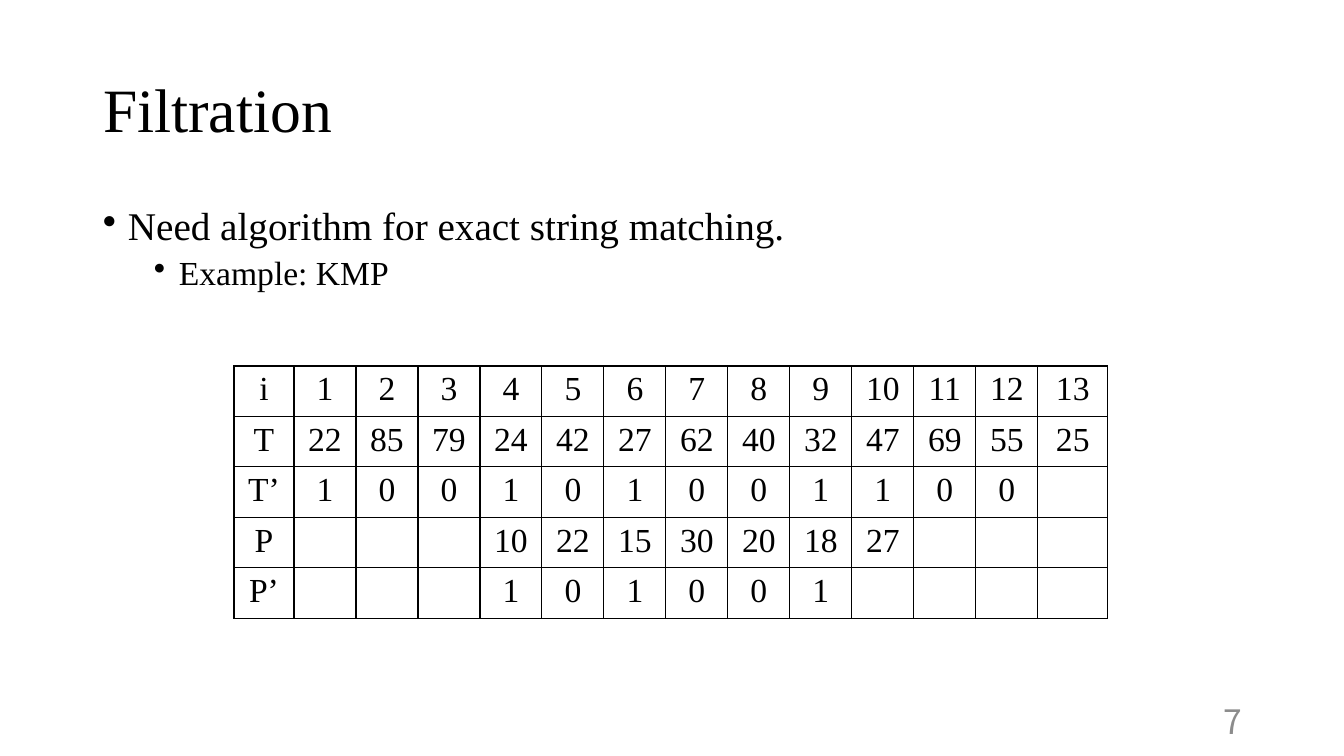
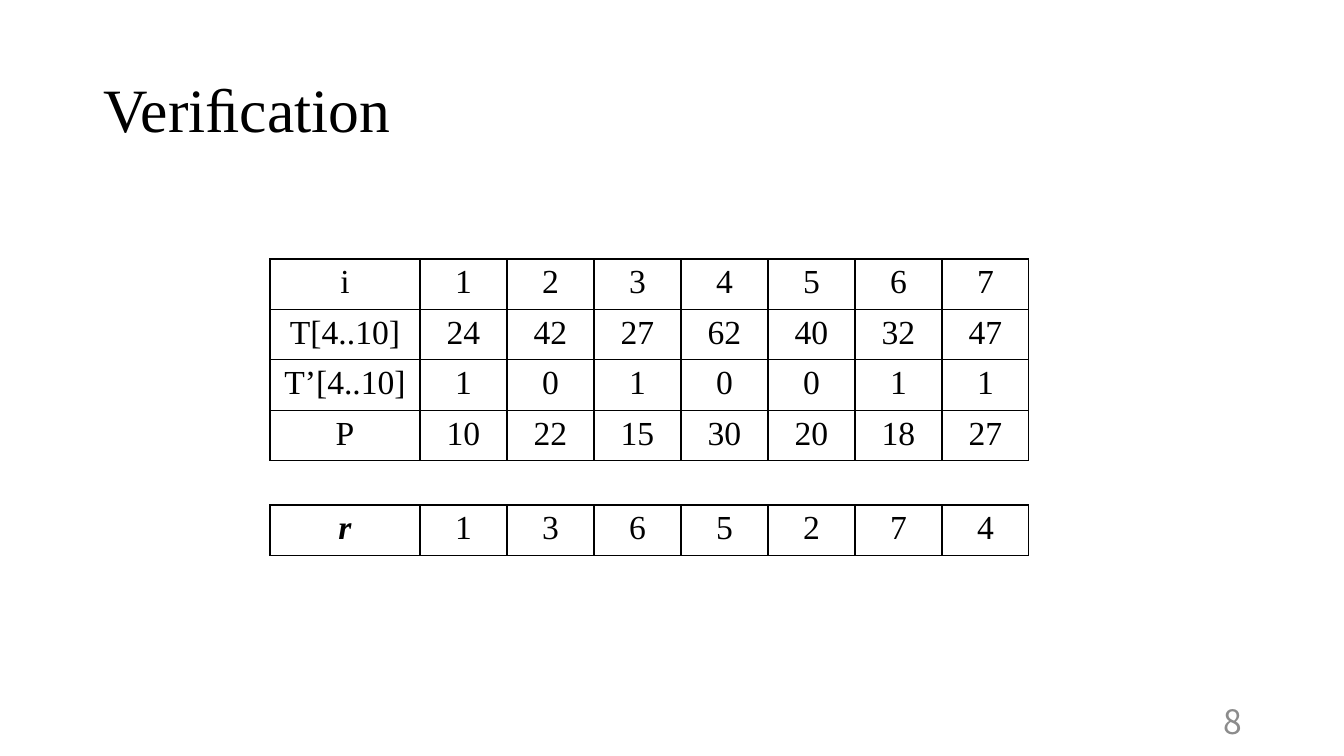
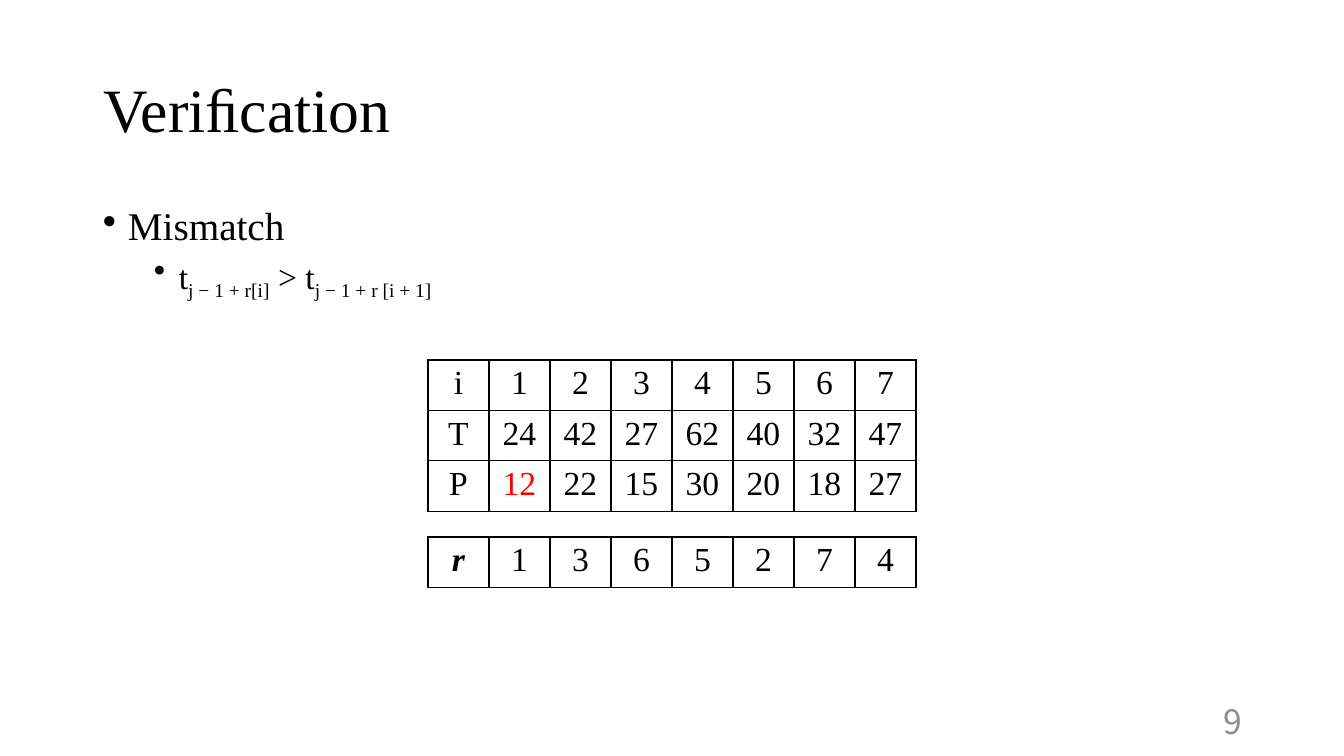
from lxml.etree import SubElement
from pptx import Presentation
from pptx.dml.color import RGBColor
from pptx.enum.text import MSO_ANCHOR, MSO_AUTO_SIZE, PP_ALIGN
from pptx.oxml import parse_xml
from pptx.oxml.ns import nsdecls, qn
from pptx.util import Pt

PX = 914400 / 100.8
COLORS = {"ink": "000000", "page": "8C8C8C", "mismatch": "FF0000", "paper": "FFFFFF"}
SERIF = "Times New Roman"
PAGE_FONT = "Noto Sans CJK JP"
ROW_HEIGHT = 47
LEVELS = [
    {"size": 28, "indent": 25, "before": 0},
    {"size": 24, "indent": 76, "before": 5},
]

SLIDES = [
    {
        "title": "Filtration",
        "page": "7",
        "points": [
            [("Need algorithm for exact string matching.", 0)],
            [("Example: KMP", 0)],
        ],
        "tables": [
            {
                "at": (234, 366),
                "columns": [60] + [62] * 12 + [70],
                "rows": [
                    "i|1|2|3|4|5|6|7|8|9|10|11|12|13",
                    "T|22|85|79|24|42|27|62|40|32|47|69|55|25",
                    "T’|1|0|0|1|0|1|0|0|1|1|0|0|",
                    "P||||10|22|15|30|20|18|27|||",
                    "P’||||1|0|1|0|0|1||||",
                ],
            },
        ],
    },
    {
        "title": "Veriﬁcation",
        "page": "8",
        "points": [],
        "tables": [
            {
                "at": (270, 259),
                "columns": [150] + [87] * 7,
                "rows": [
                    "i|1|2|3|4|5|6|7",
                    "T[4..10]|24|42|27|62|40|32|47",
                    "T’[4..10]|1|0|1|0|0|1|1",
                    "P|10|22|15|30|20|18|27",
                ],
            },
            {"at": (270, 505), "columns": [150] + [87] * 7, "rows": ["r|1|3|6|5|2|7|4"]},
        ],
    },
    {
        "title": "Veriﬁcation",
        "page": "9",
        "points": [
            [("Mismatch", 0)],
            [("t", 0), ("j − 1 + r[i]", -25), (" > t", 0), ("j − 1 + r [i + 1]", -25)],
        ],
        "tables": [
            {
                "at": (428, 360),
                "columns": [61] * 8,
                "rows": [
                    "i|1|2|3|4|5|6|7",
                    "T|24|42|27|62|40|32|47",
                    "P|12|22|15|30|20|18|27",
                ],
                "mismatch": (2, 1),
            },
            {"at": (428, 537), "columns": [61] * 8, "rows": ["r|1|3|6|5|2|7|4"]},
        ],
    },
]


def px(*lengths):
    return [round(length * PX) for length in lengths]


def write(paragraph, text, size=24, color="ink", font=SERIF, bold=False,
          align=PP_ALIGN.LEFT, baseline=0):
    paragraph.alignment = align
    run = paragraph.add_run()
    run.text = text
    run.font.size = Pt(size)
    run.font.name = font
    run.font.bold = run.font.italic = bold
    run.font.color.rgb = RGBColor.from_string(COLORS[color])
    if baseline:
        run.font._element.set("baseline", str(baseline * 1000))


deck = Presentation()
deck.slide_width, deck.slide_height = px(1344, 756)
title_only = deck.slide_layouts[5]
background = deck.slide_master.background.fill
background.solid()
background.fore_color.rgb = RGBColor.from_string(COLORS["paper"])

for content in SLIDES:
    slide = deck.slides.add_slide(title_only)
    title = slide.shapes.title
    title.left, title.top, title.width, title.height = px(93, 40, 1159, 146)
    title.text_frame.word_wrap = True
    title.text_frame.auto_size = MSO_AUTO_SIZE.NONE
    title.text_frame.vertical_anchor = MSO_ANCHOR.MIDDLE
    heading = title.text_frame.paragraphs[0]
    heading.line_spacing = 0.9
    write(heading, content["title"], size=44)

    if content["points"]:
        body = slide.shapes.add_textbox(*px(93, 202, 1159, 480)).text_frame
        body.word_wrap = True
        for number, (pieces, level) in enumerate(zip(content["points"], LEVELS)):
            point = body.add_paragraph() if number else body.paragraphs[0]
            point.level = number
            point.line_spacing = 0.9
            point.space_before = Pt(level["before"])
            margin, hanging = px(level["indent"], -25)
            properties = point._p.get_or_add_pPr()
            properties.set("marL", str(margin))
            properties.set("indent", str(hanging))
            SubElement(properties, qn("a:buChar")).set("char", "•")
            for text, baseline in pieces:
                write(point, text, size=level["size"], baseline=baseline)

    page = slide.shapes.add_textbox(*px(950, 701, 302, 40)).text_frame
    page.word_wrap = True
    page.vertical_anchor = MSO_ANCHOR.MIDDLE
    write(page.paragraphs[0], content["page"], color="page", font=PAGE_FONT,
          align=PP_ALIGN.RIGHT)

    for grid in content["tables"]:
        rows = [row.split("|") for row in grid["rows"]]
        columns = grid["columns"]
        table = slide.shapes.add_table(
            len(rows), len(columns),
            *px(*grid["at"], sum(columns), ROW_HEIGHT * len(rows))).table
        table.first_row = table.horz_banding = False
        for column, width in zip(table.columns, px(*columns)):
            column.width = width
        for r, row in enumerate(rows):
            table.rows[r].height = px(ROW_HEIGHT)[0]
            for c, value in enumerate(row):
                cell = table.cell(r, c)
                for side in "LRTB":
                    cell._tc.get_or_add_tcPr().append(parse_xml(
                        f'<a:ln{side} {nsdecls("a")} w="12700"><a:solidFill>'
                        f'<a:srgbClr val="{COLORS["ink"]}"/></a:solidFill></a:ln{side}>'))
                cell.fill.background()
                if value:
                    color = "mismatch" if grid.get("mismatch") == (r, c) else "ink"
                    write(cell.text_frame.paragraphs[0], value, color=color,
                          bold=value == "r", align=PP_ALIGN.CENTER)

deck.save("out.pptx")
